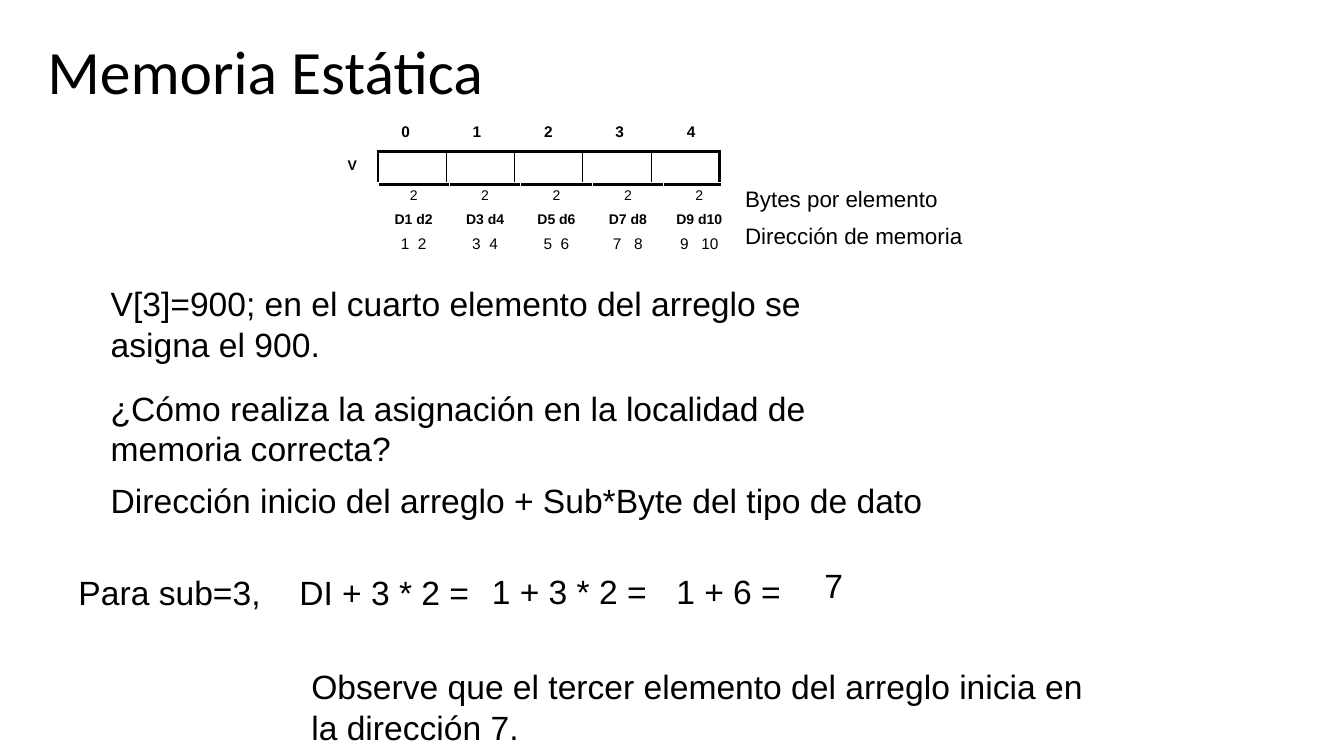
from lxml.etree import SubElement
from pptx import Presentation
from pptx.dml.color import RGBColor
from pptx.enum.text import MSO_ANCHOR, PP_ALIGN
from pptx.oxml.ns import qn
from pptx.util import Pt

BLACK = "000000"
WHITE = "FFFFFF"


def color(value):
    return RGBColor.from_string(value)


def write(frame, text, size=24, font="Arial", bold=False, align=PP_ALIGN.LEFT, gap=0):
    para = frame.paragraphs[0]
    para.alignment = align
    for part in text.partition(" ") if gap else [text]:
        span = para.add_run()
        span.text = part
        span.font.size = Pt(size)
        span.font.name = font
        span.font.bold = bold
        span.font.color.rgb = color(BLACK)
        if part == " ":
            span.font._element.set("spc", str(round(gap * 100)))
    return para


def add_text(page, text, left, top, width, height, **style):
    box = page.shapes.add_textbox(Pt(left), Pt(top), Pt(width), Pt(height))
    box.text_frame.word_wrap = True
    write(box.text_frame, text, **style)


def set_borders(cell, value, widths):
    properties = cell._tc.get_or_add_tcPr()
    for side, width in zip("LRTB", widths):
        line = SubElement(properties, qn(f"a:ln{side}"), w=str(Pt(width)))
        fill = SubElement(line, qn("a:solidFill"))
        SubElement(fill, qn("a:srgbClr"), val=value)


def add_grid(page, rows, columns, left, top, width, height):
    frame = page.shapes.add_table(rows, columns, Pt(left), Pt(top), Pt(width), Pt(height))
    table = frame.table
    table.first_row = False
    table.horz_banding = False
    for column in table.columns:
        column.width = Pt(width / columns)
    for row in table.rows:
        row.height = Pt(height / rows)
    return table


def add_labels(page, rows, left, top, width, height, gaps=None, **style):
    table = add_grid(page, len(rows), len(rows[0]), left, top, width, height)
    for row_index, row in enumerate(rows):
        for index, text in enumerate(row):
            cell = table.cell(row_index, index)
            set_borders(cell, WHITE, [1] * 4)
            cell.fill.background()
            write(cell.text_frame, text, gap=gaps[index] if gaps else 0, **style)


def add_vector(page, left, top, width, height, count=5):
    table = add_grid(page, 1, count, left, top, width, height)
    for index in range(count):
        cell = table.cell(0, index)
        cell.margin_top = cell.margin_bottom = 0
        start = 2.25 if index == 0 else 1
        end = 2.25 if index == count - 1 else 1
        set_borders(cell, BLACK, [start, end, 2.25, 2.25])
        cell.fill.background()


def add_title(page, text, left, top, width, height):
    title = page.shapes.title
    title.left, title.top, title.width, title.height = map(Pt, (left, top, width, height))
    title.text_frame.vertical_anchor = MSO_ANCHOR.MIDDLE
    title.text_frame.word_wrap = True
    write(title.text_frame, text, size=44, font="Calibri").line_spacing = 0.9


def add_memory_diagram(page, left, top):
    width = 255
    centered = {"align": PP_ALIGN.CENTER}
    add_vector(page, left, top, 244, 23.8)
    add_text(page, "V", left - 28.8, top, 33.8, 19.4, size=10, bold=True)
    add_labels(page, ["01234"], left - 5.8, top - 23, width, 20.2, size=11, bold=True, **centered)
    add_labels(page, ["22222"], left, top + 22.3, width, 19.4, size=10, **centered)
    names = ["D1 d2", "D3 d4", "D5 d6", "D7 d8", "D9 d10"]
    add_labels(page, [names], left, top + 39.6, width, 19.4, size=10, bold=True, **centered)
    captions = [["Bytes por elemento"], ["Dirección de memoria"]]
    add_labels(page, captions, left + width, top + 22.3, 231, 52.6, size=16)
    addresses = ["1 2", "3 4", "5 6", "7 8", "9 10"]
    add_labels(page, [addresses], left, top + 56.9, width, 20.2,
               gaps=[3, 3, 3, 6, 6], size=11, **centered)


def add_explanation(page, left, top):
    add_text(page, "V[3]=900; en el cuarto elemento del arreglo se asigna el 900.",
             left, top, 544.3, 65.5)
    add_text(page, "¿Cómo realiza la asignación en la localidad de memoria correcta?",
             left, top + 74.9, 544.3, 65.5)
    add_text(page, "Dirección inicio del arreglo + Sub*Byte del tipo de dato",
             left, top + 140.4, 635, 36)


def add_calculation(page, left, top):
    steps = [
        ("Para sub=3,", 0, 5, 163.4),
        ("DI + 3 * 2 =", 157.7, 5, 136.8),
        ("1 + 3 * 2 =", 295.2, 3.6, 128.2),
        ("1 + 6 =", 427, 3.6, 108.7),
        ("7", 532.8, 0, 33.8),
    ]
    for text, across, down, width in steps:
        add_text(page, text, left + across, top + down, width, 36)
    add_text(page, "Observe que el tercer elemento del arreglo inicia en la dirección 7.",
             left + 166.3, top + 72, 572.4, 65.5)


def main():
    deck = Presentation()
    deck.slide_width = Pt(960)
    deck.slide_height = Pt(540)
    page = deck.slides.add_slide(deck.slide_layouts[5])
    page.background.fill.solid()
    page.background.fill.fore_color.rgb = color(WHITE)
    add_title(page, "Memoria Estática", 26.6, 0.7, 828, 104.4)
    add_memory_diagram(page, 270, 108)
    add_explanation(page, 72, 198.7)
    add_calculation(page, 49, 400.3)
    deck.save("out.pptx")


if __name__ == "__main__":
    main()
